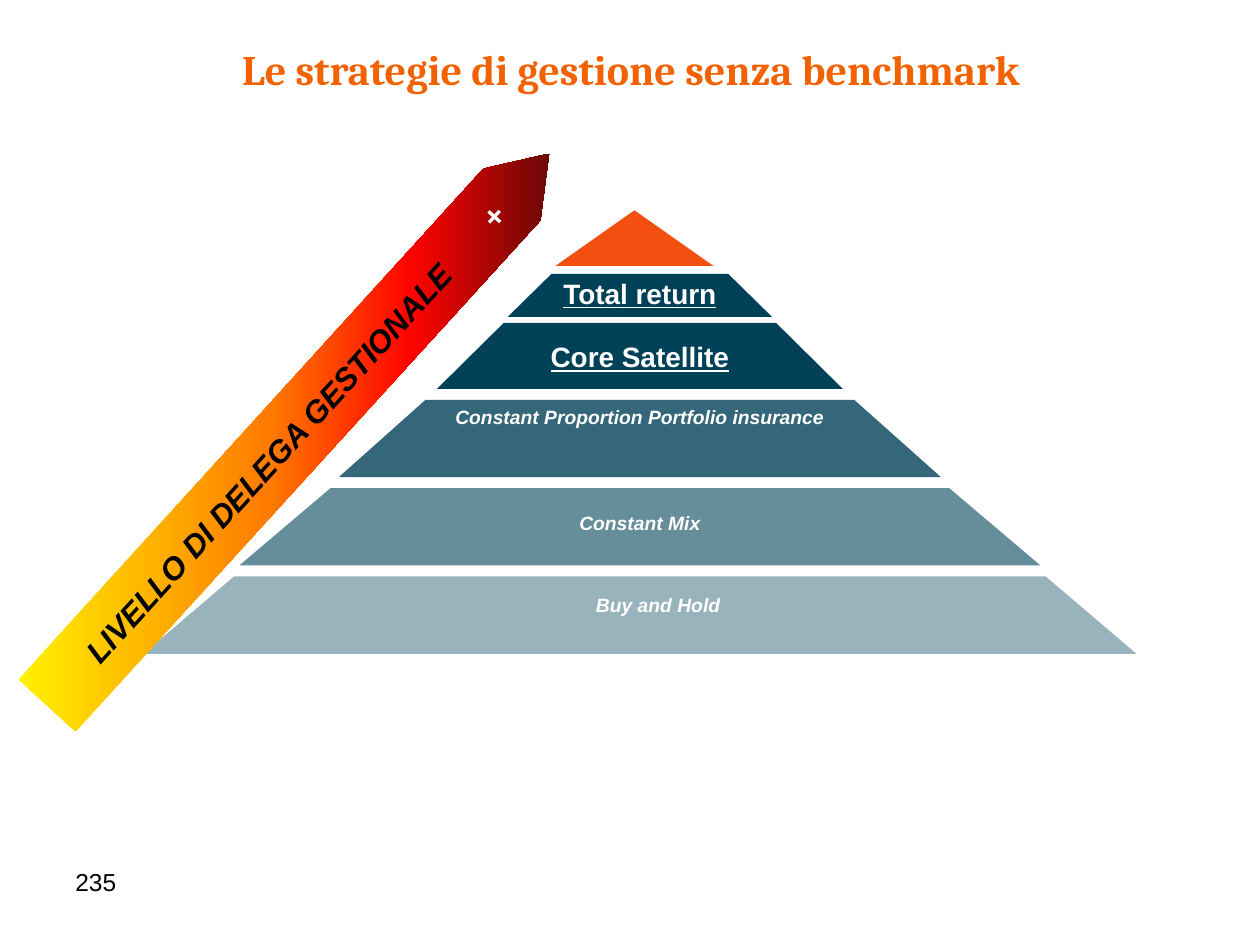
from lxml.etree import SubElement
from pptx import Presentation
from pptx.dml.color import RGBColor
from pptx.enum.shapes import MSO_SHAPE as Shape
from pptx.enum.text import MSO_ANCHOR as Anchor, PP_ALIGN as Align
from pptx.oxml import parse_xml
from pptx.oxml.ns import nsdecls, qn
from pptx.util import Cm, Pt

WHITE = "FFFFFF"
BLACK = "000000"
ORANGE = "F24F11"
NAVY = "004157"

HEADING = {"name": "Cambria", "size": Pt(24), "bold": True}
NUMBER = {"name": "Arial", "size": Pt(14)}
STRONG = {"name": "Arial", "size": Pt(16), "bold": True, "underline": True}
LABEL = {"name": "Arial", "size": Pt(11), "bold": True, "italic": True}
ARROW = {"name": "Arial", "size": Pt(18), "bold": True, "italic": True}

AXIS = 12.9
# centre, top, height, top width, bottom width (cm), colour
BANDS = [
    (12.79, 4.24, 1.12, 0, 3.18, ORANGE),
    (AXIS, 5.52, 0.87, 3.56, 5.33, NAVY),
    (AXIS, 6.51, 1.33, 5.49, 8.18, NAVY),
    (AXIS, 8.06, 1.56, 8.64, 12.14, "336779"),
    (AXIS, 9.84, 1.56, 12.47, 16.15, "668D9A"),
    (AXIS, 11.62, 1.56, 16.36, 20.02, "99B3BC"),
]
# text, centre, top, width (cm), format, line spacing
LABELS = [
    ("Total return", AXIS, 5.52, 6.15, STRONG, 0.9),
    ("Core Satellite", AXIS, 6.73, 5.51, STRONG, 1),
    ("Constant Proportion Portfolio insurance", AXIS, 8.05, 10.13, LABEL, 1),
    ("Constant Mix", AXIS, 10.24, 8.79, LABEL, 0.9),
    ("Buy and Hold", 13.27, 11.89, 11.46, LABEL, 0.9),
]
GRADIENT = [(0, "FFF200"), (45, "FF7A00"), (70, "FF0300"), (100, "4D0808")]


def rgb(color):
    return RGBColor.from_string(color)


def style_font(font, color, formats):
    for name, value in formats.items():
        setattr(font, name, value)
    font.color.rgb = rgb(color)


def add_title(slide, text):
    title = slide.shapes.title
    title.left, title.top, title.width, title.height = Cm(1.22), Cm(0.74), Cm(22.99), Cm(1.3)
    title.text_frame.vertical_anchor = Anchor.MIDDLE
    paragraph = title.text_frame.paragraphs[0]
    paragraph.text = text
    paragraph.alignment = Align.CENTER
    style_font(paragraph.font, "F26200", HEADING)


def add_text(slide, text, left, top, width, color, formats, align=Align.LEFT, spacing=1):
    box = slide.shapes.add_textbox(Cm(left), Cm(top), Cm(width), Cm(0.8))
    box.text_frame.word_wrap = True
    paragraph = box.text_frame.paragraphs[0]
    paragraph.text = text
    paragraph.alignment = align
    paragraph.line_spacing = spacing
    style_font(paragraph.font, color, formats)


def add_band(slide, centre, top, height, top_width, bottom_width, color):
    """Draw one symmetrical layer of the pyramid."""
    bottom = top + height
    builder = slide.shapes.build_freeform(Cm(centre - bottom_width / 2), Cm(bottom))
    corners = [(-top_width / 2, top), (top_width / 2, top), (bottom_width / 2, bottom)]
    builder.add_line_segments([(Cm(centre + x), Cm(y)) for x, y in corners], close=True)
    band = builder.convert_to_shape()
    band.shadow.inherit = False
    band.fill.solid()
    band.fill.fore_color.rgb = rgb(color)
    band.line.fill.background()


def set_page_gradient(shape, stops):
    """Fill from left to right of the page, whatever the rotation of the shape."""
    stop_xml = "".join(
        f'<a:gs pos="{position * 1000}"><a:srgbClr val="{color}"/></a:gs>'
        for position, color in stops
    )
    gradient = parse_xml(
        f'<a:gradFill {nsdecls("a")} rotWithShape="0"><a:gsLst>{stop_xml}</a:gsLst>'
        '<a:lin ang="0" scaled="1"/></a:gradFill>'
    )
    shape._element.spPr.find(qn("a:prstGeom")).addnext(gradient)


def add_tab_stop(paragraph, position):
    tabs = SubElement(paragraph._p.get_or_add_pPr(), qn("a:tabLst"))
    SubElement(tabs, qn("a:tab"), pos=str(position), algn="l")


def add_arrow(slide, text, sign):
    length, thickness = 15.04, 1.55
    arrow = slide.shapes.add_shape(
        Shape.PENTAGON, Cm(6.01 - length / 2), Cm(8.66 - thickness / 2), Cm(length), Cm(thickness)
    )
    arrow.adjustments[0] = 0.717
    arrow.rotation = 312.3
    arrow.shadow.inherit = False
    arrow.line.fill.background()
    set_page_gradient(arrow, GRADIENT)
    frame = arrow.text_frame
    frame.word_wrap = True
    frame.vertical_anchor = Anchor.MIDDLE
    frame.margin_left, frame.margin_right = Cm(1.32), Cm(0)
    paragraph = frame.paragraphs[0]
    paragraph.alignment = Align.LEFT
    add_tab_stop(paragraph, Cm(11.84))
    for content, color in [(text + "\t", BLACK), (sign, WHITE)]:
        run = paragraph.add_run()
        run.text = content
        style_font(run.font, color, ARROW)


def main():
    presentation = Presentation()
    presentation.slide_width, presentation.slide_height = Cm(25.4), Cm(19.05)
    slide = presentation.slides.add_slide(presentation.slide_layouts[5])
    add_title(slide, "Le strategie di gestione senza benchmark")
    add_text(slide, "235", 1.27, 17.35, 5.92, BLACK, NUMBER)
    for band in BANDS:
        add_band(slide, *band)
    for text, centre, top, width, formats, spacing in LABELS:
        add_text(slide, text, centre - width / 2, top, width, WHITE, formats, Align.CENTER, spacing)
    add_arrow(slide, "LIVELLO DI DELEGA GESTIONALE", "+")
    presentation.save("out.pptx")


if __name__ == "__main__":
    main()
